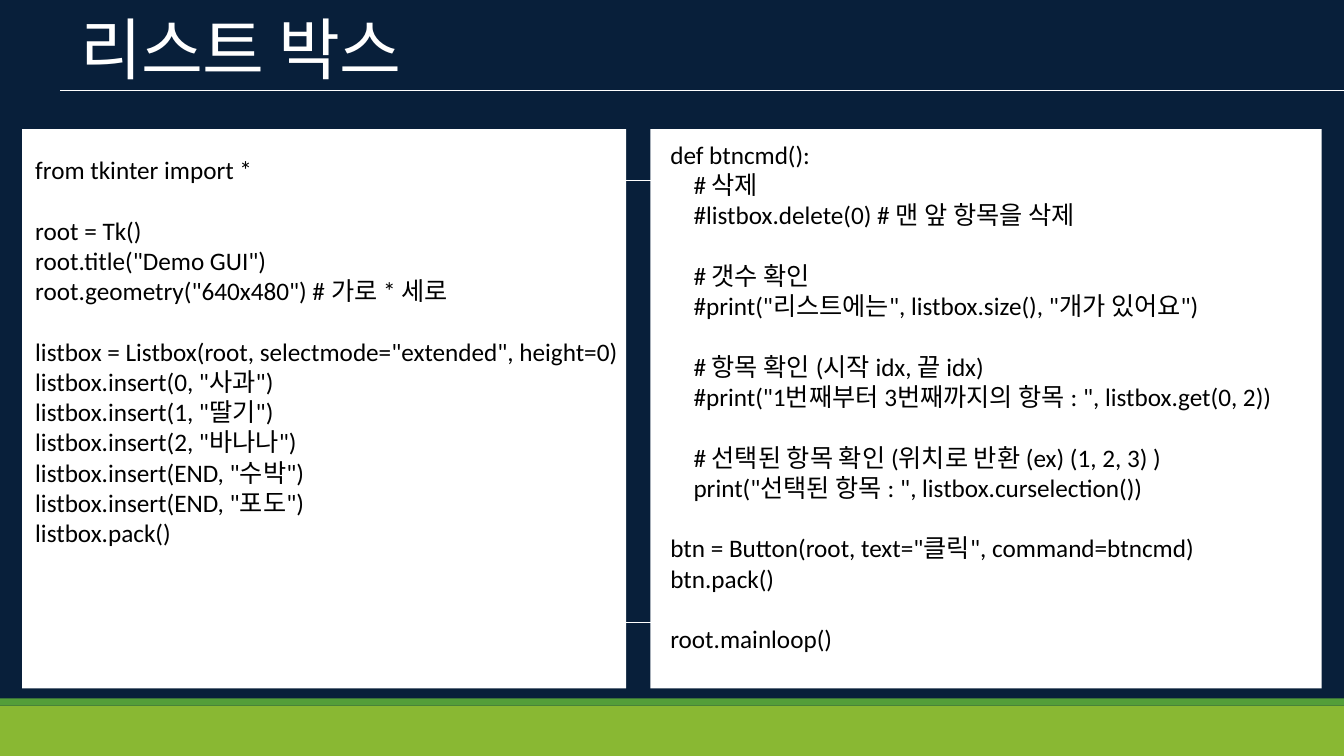
from dataclasses import dataclass

from pptx import Presentation
from pptx.dml.color import RGBColor
from pptx.enum.shapes import MSO_CONNECTOR, MSO_SHAPE
from pptx.enum.text import MSO_ANCHOR, MSO_AUTO_SIZE, PP_ALIGN
from pptx.oxml.ns import qn
from pptx.util import Inches, Pt

RECTANGLE = MSO_SHAPE.RECTANGLE
STRAIGHT = MSO_CONNECTOR.STRAIGHT
TOP = MSO_ANCHOR.TOP
LEFT = PP_ALIGN.LEFT
NO_FIT = MSO_AUTO_SIZE.NONE

COLOURS = {
    "navy": "081F3A",
    "lime": "89B833",
    "green": "539E39",
    "white": "FFFFFF",
    "black": "000000",
}
BLANK_LINE = 21.7  # points, the height of one line of code
CODE_INDENT = 0.23
HARD_SPACE = chr(160)  # keeps each line of code whole when it wraps


@dataclass
class Panel:
    left: float
    top: float
    width: float
    height: float
    colour: str


@dataclass
class Rule:
    left: float
    right: float
    top: float
    colour: str
    weight: float


@dataclass
class Listing:
    left: float
    top: float
    width: float
    height: float
    insets: tuple[float, float, float, float]
    code: str


BANDS = [
    Panel(0, 7, 13.33, 0.5, "lime"),
    Panel(0, 6.93, 13.33, 0.07, "green"),
]
LEFT_PANEL = Panel(0.22, 1.28, 5.99, 5.55, "white")
RIGHT_PANEL = Panel(6.45, 1.28, 6.66, 5.55, "white")
FRAME_RULES = [Rule(0.69, 6.68, top, "white", 0.5) for top in (1.79, 6.17)]
TITLE_RULE = Rule(0.6, 13.33, 0.9, "white", 0.48)

WIDGET_CODE = Listing(0.35, 1.38, 7.17, 4.69, (0, 0.15, 0, 0), '''\
from tkinter import *

root = Tk()
root.title("Demo GUI")
root.geometry("640x480") # 가로 * 세로

listbox = Listbox(root, selectmode="extended", height=0)
listbox.insert(0, "사과")
listbox.insert(1, "딸기")
listbox.insert(2, "바나나")
listbox.insert(END, "수박")
listbox.insert(END, "포도")
listbox.pack()''')

BUTTON_CODE = Listing(6.55, 1.33, 6.31, 5.55, (0.1, 0.05, 0.1, 0.05), '''\
def btncmd():
    # 삭제
    #listbox.delete(0) # 맨 앞 항목을 삭제

    # 갯수 확인
    #print("리스트에는", listbox.size(), "개가 있어요")

    # 항목 확인 (시작 idx, 끝 idx)
    #print("1번째부터 3번째까지의 항목 : ", listbox.get(0, 2))

    # 선택된 항목 확인 (위치로 반환 (ex) (1, 2, 3) )
    print("선택된 항목 : ", listbox.curselection())

btn = Button(root, text="클릭", command=btncmd)
btn.pack()

root.mainloop()''')


def colour_of(name: str) -> RGBColor:
    return RGBColor.from_string(COLOURS[name])


def draw_panel(page, panel: Panel) -> None:
    shape = page.shapes.add_shape(
        RECTANGLE, Inches(panel.left), Inches(panel.top),
        Inches(panel.width), Inches(panel.height))
    shape.shadow.inherit = False
    shape.fill.solid()
    shape.fill.fore_color.rgb = colour_of(panel.colour)
    shape.line.fill.background()


def draw_rule(page, rule: Rule) -> None:
    line = page.shapes.add_connector(
        STRAIGHT, Inches(rule.left), Inches(rule.top),
        Inches(rule.right), Inches(rule.top))
    line.line.color.rgb = colour_of(rule.colour)
    line.line.width = Pt(rule.weight)
    properties = line._element.spPr
    properties.append(properties.makeelement(qn("a:effectLst"), {}))


def prepare_frame(frame, insets: tuple[float, float, float, float]) -> None:
    frame.word_wrap = True
    frame.auto_size = NO_FIT
    frame.vertical_anchor = TOP
    (frame.margin_left, frame.margin_top,
     frame.margin_right, frame.margin_bottom) = map(Inches, insets)


def write_text(para, text: str, *, font: str, size: float, colour: str,
               before: float = 0, indent: float = 0,
               spacing: float = 0) -> None:
    para.alignment = LEFT
    para.space_before = Pt(before)
    if indent:
        para._p.get_or_add_pPr().set("indent", str(Inches(indent)))
    span = para.add_run()
    span.text = text
    span.font.name = font
    span.font.size = Pt(size)
    span.font.color.rgb = colour_of(colour)
    if spacing:
        span.font._element.set("spc", str(round(spacing * 100)))


def draw_listing(page, listing: Listing) -> None:
    box = page.shapes.add_textbox(
        Inches(listing.left), Inches(listing.top),
        Inches(listing.width), Inches(listing.height))
    frame = box.text_frame
    prepare_frame(frame, listing.insets)
    para, before = frame.paragraphs[0], 0
    for number, line in enumerate(listing.code.splitlines()):
        if not line:
            before = BLANK_LINE
            continue
        if number:
            para = frame.add_paragraph()
        write_text(para, line.strip().replace(" ", HARD_SPACE),
                   font="Calibri", size=18, colour="black", before=before,
                   indent=CODE_INDENT if line.startswith(" ") else 0)
        before = 0


def place_title(page, text: str) -> None:
    title = page.shapes.title
    title.left, title.top = Inches(0.8), Inches(0.06)
    title.width, title.height = Inches(10.06), Inches(0.82)
    prepare_frame(title.text_frame, (0, 0.01, 0, 0))
    write_text(title.text_frame.paragraphs[0], text, font="DejaVu Sans Mono",
               size=48, colour="white", before=1, spacing=-0.5)


def main() -> None:
    deck = Presentation()
    deck.slide_width, deck.slide_height = Inches(13.33), Inches(7.5)
    page = deck.slides.add_slide(deck.slide_layouts[5])

    # Navy ground with green bands at the foot
    page.background.fill.solid()
    page.background.fill.fore_color.rgb = colour_of("navy")
    for band in BANDS:
        draw_panel(page, band)

    # Title and its rule
    place_title(page, "리스트 박스")
    draw_rule(page, TITLE_RULE)

    # Left code panel, with rules running to the right one
    draw_panel(page, LEFT_PANEL)
    for rule in FRAME_RULES:
        draw_rule(page, rule)
    draw_listing(page, WIDGET_CODE)

    # Right code panel
    draw_panel(page, RIGHT_PANEL)
    draw_listing(page, BUTTON_CODE)

    deck.save("out.pptx")


if __name__ == "__main__":
    main()
